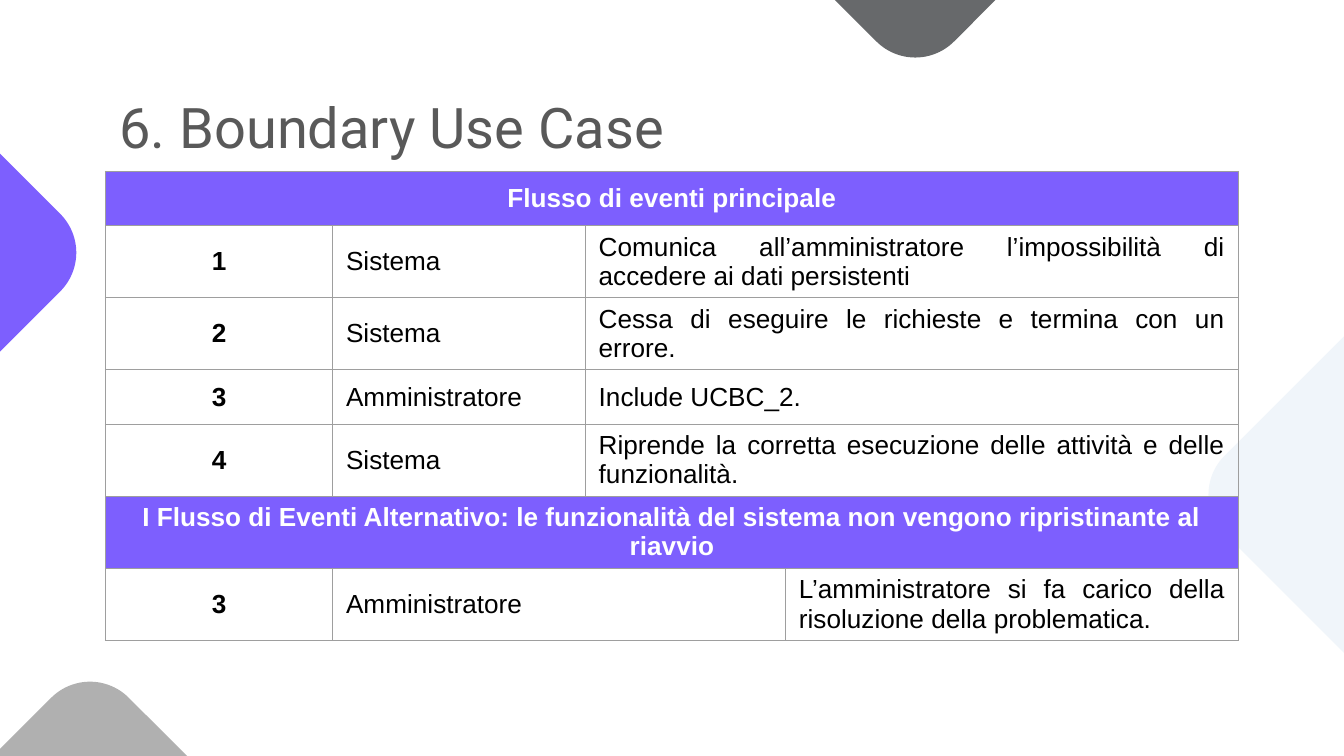
import dataclasses

import lxml.etree
import pptx
import pptx.dml.color
import pptx.enum.shapes
import pptx.enum.text
import pptx.oxml.ns
import pptx.util

ALIGN = pptx.enum.text.PP_ALIGN
ANCHOR = pptx.enum.text.MSO_ANCHOR


@dataclasses.dataclass(frozen=True)
class Theme:
    violet: str = "7D5FFE"
    silver: str = "B0B0B0"
    mist: str = "F0F5FA"
    slate: str = "67696B"
    title: str = "595959"
    border: str = "9E9E9E"
    white: str = "FFFFFF"
    black: str = "000000"
    head_font: str = "Roboto"
    body_font: str = "Arial"
    head_size: int = 30
    body_size: int = 14
    line: float = 0.75


def paint(fill, color):
    fill.solid()
    fill.fore_color.rgb = pptx.dml.color.RGBColor.from_string(color)


def unit(count):
    """Length of a number of grid steps; the slide is 100 steps wide."""
    return pptx.util.Inches(count / 10)


class Deck:
    def __init__(self, theme):
        self.theme = theme
        self.file = pptx.Presentation()
        self.file.slide_width = unit(100)
        self.file.slide_height = unit(56.25)
        self.slide = self.file.slides.add_slide(self.file.slide_layouts[6])

    def style(self, para, font, size, color, bold=False):
        for run in para.runs:
            run.font.name = font
            run.font.size = pptx.util.Pt(size)
            run.font.bold = bold
            paint(run.font.fill, color)

    def diamond(self, col, row, color, side=24):
        """Rounded square standing on a corner, centred on col, row."""
        shape = self.slide.shapes.add_shape(
            pptx.enum.shapes.MSO_SHAPE.ROUNDED_RECTANGLE,
            unit(col - side / 2), unit(row - side / 2), unit(side), unit(side))
        shape.adjustments[0] = 0.17
        shape.rotation = 315
        shape.shadow.inherit = False
        paint(shape.fill, color)
        shape.line.fill.background()

    def title(self, text, col, row, width, height):
        box = self.slide.shapes.add_textbox(
            unit(col), unit(row), unit(width), unit(height))
        frame = box.text_frame
        frame.word_wrap = True
        frame.margin_left = frame.margin_right = unit(1)
        frame.margin_top = frame.margin_bottom = unit(1)
        frame.text = text
        self.style(frame.paragraphs[0], self.theme.head_font,
                   self.theme.head_size, self.theme.title)

    def edge(self, cell):
        props = cell._tc.get_or_add_tcPr()
        name = pptx.oxml.ns.qn
        for side in ("a:lnL", "a:lnR", "a:lnT", "a:lnB"):
            line = lxml.etree.SubElement(
                props, name(side), w=str(pptx.util.Pt(self.theme.line)))
            fill = lxml.etree.SubElement(line, name("a:solidFill"))
            lxml.etree.SubElement(fill, name("a:srgbClr"), val=self.theme.border)

    def cell(self, cell, text, head, first):
        cell.vertical_anchor = ANCHOR.MIDDLE
        cell.margin_top = cell.margin_bottom = unit(0.3)
        cell.text = text
        para = cell.text_frame.paragraphs[0]
        para.alignment = ALIGN.CENTER if first else ALIGN.JUSTIFY
        self.style(para, self.theme.body_font, self.theme.body_size,
                   self.theme.white if head else self.theme.black, first)

    def table(self, rows, col, row, widths, low, high):
        """Each row is (starts, texts, tall): a cell runs to the next start."""
        heights = [high if tall else low for _, _, tall in rows]
        table = self.slide.shapes.add_table(
            len(rows), len(widths), unit(col), unit(row),
            unit(sum(widths)), unit(sum(heights))).table
        table.first_row = table.horz_banding = False
        for column, width in zip(table.columns, widths):
            column.width = unit(width)
        for r, (starts, texts, _) in enumerate(rows):
            table.rows[r].height = unit(heights[r])
            head = len(texts) == 1
            for cell in table.rows[r].cells:
                self.edge(cell)
                cell.margin_top = cell.margin_bottom = unit(0.3)
                if head:
                    paint(cell.fill, self.theme.violet)
                else:
                    cell.fill.background()
            stops = (*starts[1:], len(widths))
            for start, stop, text in zip(starts, stops, texts):
                cell = table.cell(r, start)
                if stop - start > 1:
                    cell.merge(table.cell(r, stop - 1))
                self.cell(cell, text, head, start == 0)


FULL, STEP, ALT = (0,), (0, 1, 2), (0, 1, 3)
ROWS = [
    (FULL, ["Flusso di eventi principale"], False),
    (STEP, ["1", "Sistema", "Comunica all’amministratore l’impossibilità di "
            "accedere ai dati persistenti"], True),
    (STEP, ["2", "Sistema", "Cessa di eseguire le richieste e termina con un "
            "errore."], True),
    (STEP, ["3", "Amministratore", "Include UCBC_2."], False),
    (STEP, ["4", "Sistema", "Riprende la corretta esecuzione delle attività e "
            "delle funzionalità."], True),
    (FULL, ["I Flusso di Eventi Alternativo: le funzionalità del sistema non "
            "vengono ripristinante al riavvio"], True),
    (ALT, ["3", "Amministratore", "L’amministratore si fa carico della "
           "risoluzione della problematica."], True),
]


def main():
    theme = Theme()
    deck = Deck(theme)
    for col, row, color in [(-9.6, 18.8, theme.violet), (6.7, 66, theme.silver),
                            (105.2, 36.8, theme.mist), (68.1, -11, theme.slate)]:
        deck.diamond(col, row, color)
    deck.title("6. Boundary Use Case", 7.9, 5.9, 84.2, 6.9)
    deck.table(ROWS, 7.85, 12.75, [16.9, 18.8, 14.9, 33.7], low=4.05, high=5.36)
    deck.file.save("out.pptx")


if __name__ == "__main__":
    main()
